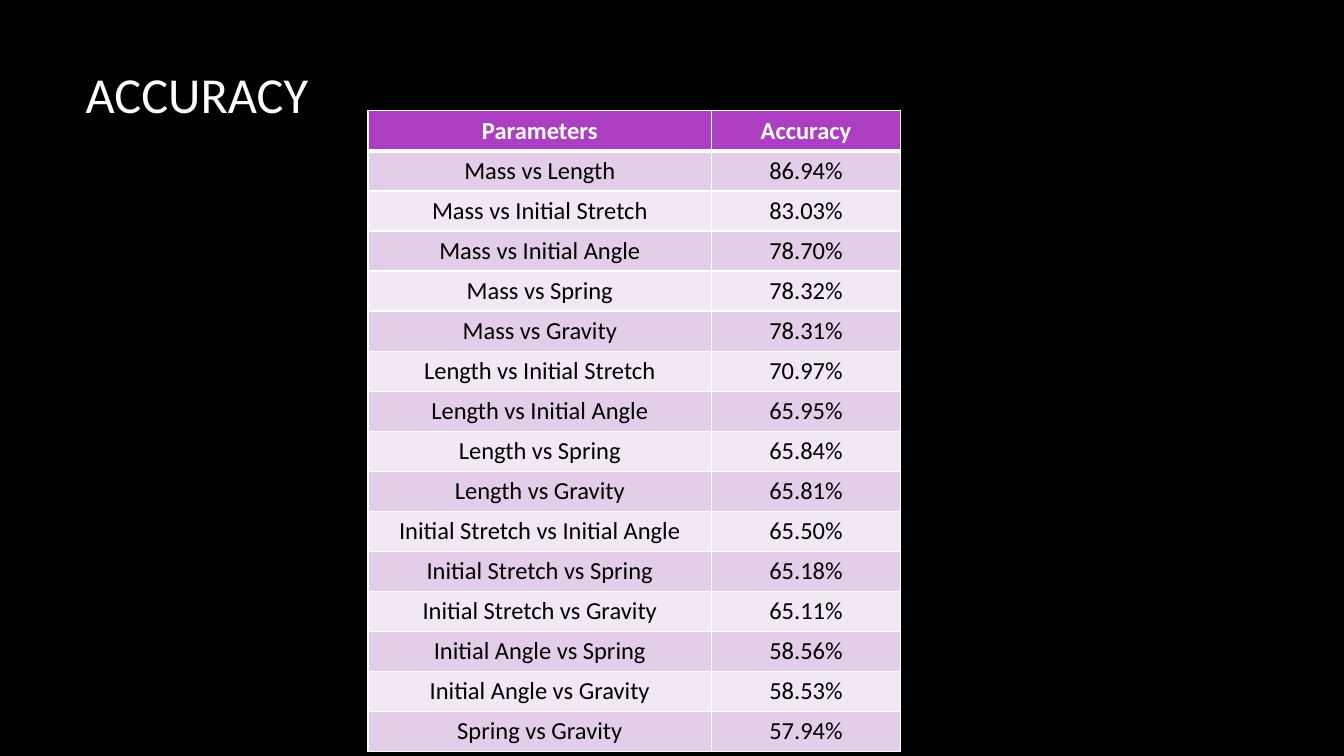
from itertools import combinations

from lxml.etree import SubElement
from pptx import Presentation
from pptx.dml.color import RGBColor
from pptx.enum.text import MSO_ANCHOR as Anchor, PP_ALIGN as Align
from pptx.oxml.ns import qn
from pptx.util import Inches, Pt

PARAMETERS = ["Mass", "Length", "Initial Stretch", "Initial Angle", "Spring", "Gravity"]
ACCURACIES = [
    "86.94%", "83.03%", "78.70%", "78.32%", "78.31%",
    "70.97%", "65.95%", "65.84%", "65.81%",
    "65.50%", "65.18%", "65.11%",
    "58.56%", "58.53%",
    "57.94%",
]


def color(hex_code):
    return RGBColor.from_string(hex_code)


class AccuracySlide:
    FONT = "Calibri"
    WHITE, BLACK = "FFFFFF", "000000"
    HEADER_FILL = "AC3EC1"
    BAND_FILLS = ("F1E8F4", "E3CEE9")

    def __init__(self, deck):
        self.slide = deck.slides.add_slide(deck.slide_layouts[5])
        background = self.slide.background.fill
        background.solid()
        background.fore_color.rgb = color(self.BLACK)

    def set_text(self, frame, text, size, ink, align, bold=False):
        frame.text = text
        paragraph = frame.paragraphs[0]
        paragraph.alignment = align
        font = paragraph.runs[0].font
        font.name, font.size, font.bold = self.FONT, Pt(size), bold
        font.color.rgb = color(ink)

    def title(self, text, left, top, width, height):
        heading = self.slide.shapes.title
        heading.left, heading.top = Inches(left), Inches(top)
        heading.width, heading.height = Inches(width), Inches(height)
        heading.text_frame.vertical_anchor = Anchor.MIDDLE
        self.set_text(heading.text_frame, text, 36, self.WHITE, Align.LEFT)

    def border(self, cell, side, points):
        """Draw one cell edge; call before the cell is filled."""
        line = SubElement(cell._tc.get_or_add_tcPr(), qn(f"a:ln{side}"), w=str(Pt(points)))
        fill = SubElement(line, qn("a:solidFill"))
        SubElement(fill, qn("a:srgbClr"), val=self.WHITE)

    def cell(self, cell, text, row):
        is_header = row == 0
        edges = {"L": 1, "R": 1, "T": 3 if row == 1 else 1, "B": 3 if is_header else 1}
        for side, points in edges.items():
            self.border(cell, side, points)
        cell.fill.solid()
        cell.fill.fore_color.rgb = color(self.HEADER_FILL if is_header else self.BAND_FILLS[row % 2])
        ink = self.WHITE if is_header else self.BLACK
        self.set_text(cell.text_frame, text, 17.5, ink, Align.CENTER, bold=is_header)

    def table(self, rows, left, top, column_widths, height):
        grid = self.slide.shapes.add_table(
            len(rows), len(column_widths), Inches(left), Inches(top),
            Inches(sum(column_widths)), Inches(height),
        ).table
        for column, width in zip(grid.columns, column_widths):
            column.width = Inches(width)
        for row, texts in enumerate(rows):
            for column, text in enumerate(texts):
                self.cell(grid.cell(row, column), text, row)


def main():
    deck = Presentation()
    deck.slide_width, deck.slide_height = Inches(13.33), Inches(7.5)
    pairs = [" vs ".join(pair) for pair in combinations(PARAMETERS, 2)]
    rows = [("Parameters", "Accuracy"), *zip(pairs, ACCURACIES)]

    page = AccuracySlide(deck)
    page.title("ACCURACY", 0.75, 0.13, 11.08, 1.59)
    page.table(rows, 3.65, 1.1, (3.41, 1.87), 6.27)
    deck.save("out.pptx")


if __name__ == "__main__":
    main()
